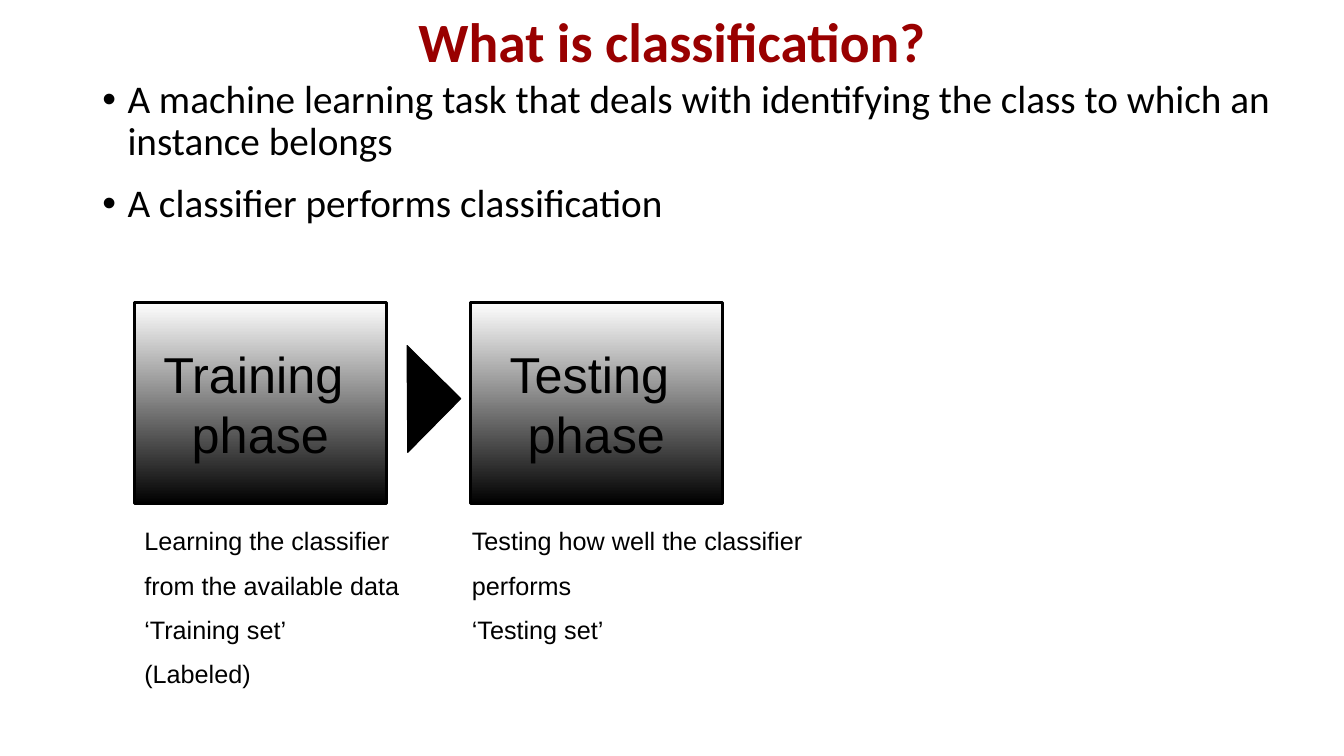
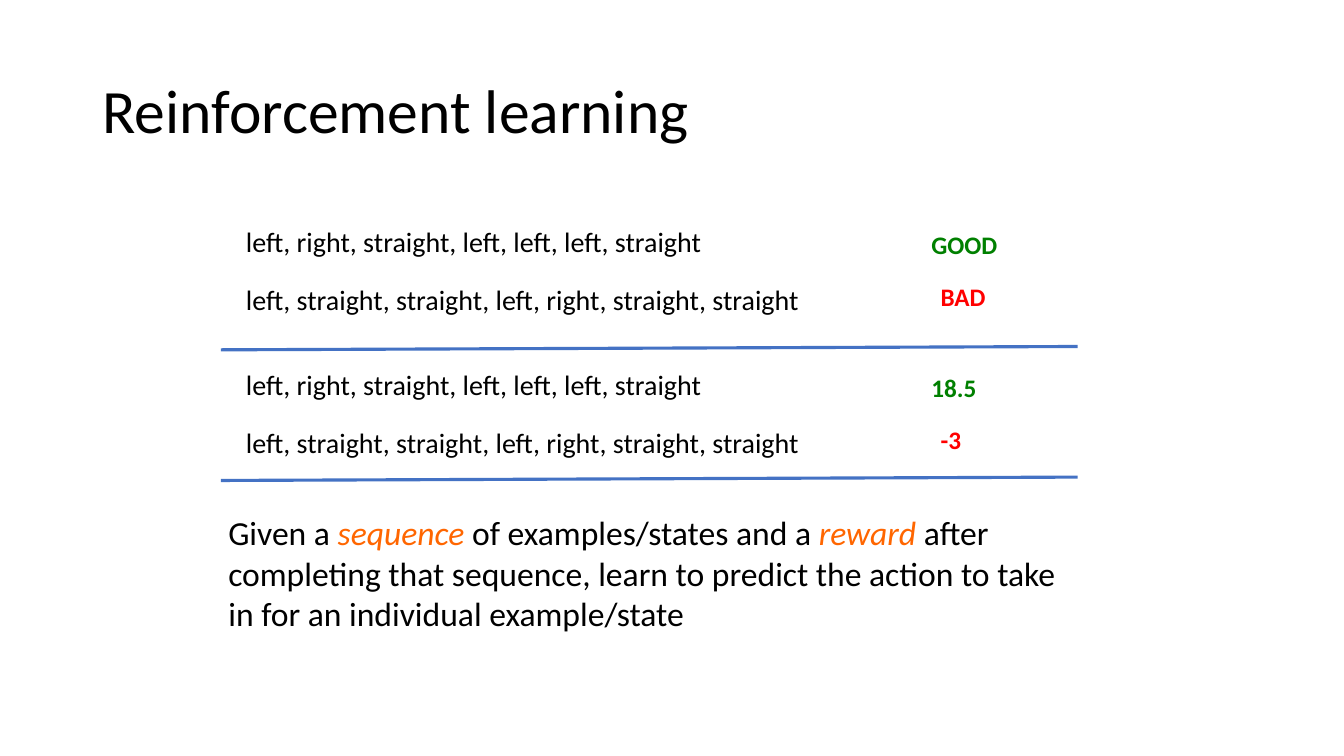
import lxml.etree
import pptx
import pptx.dml.color
import pptx.enum.shapes
import pptx.enum.text
import pptx.oxml.ns
import pptx.util

SHAPES = pptx.enum.shapes.MSO_SHAPE
ALIGN = pptx.enum.text.PP_ALIGN
ANCHOR = pptx.enum.text.MSO_ANCHOR

WIDTH, HEIGHT = pptx.util.Inches(13.333), pptx.util.Inches(7.5)
COLUMNS, ROWS = 160, 90  # square cells; all boxes are given in them

HEADING, BODY = "Calibri", "Arial"
BLACK, WHITE, MAROON = "000000", "FFFFFF", "990000"
GREEN, RED, ORANGE, BLUE = "008000", "FF0000", "FF6600", "4472C4"


def color(hex_text):
    return pptx.dml.color.RGBColor.from_string(hex_text)


def cells(left, top, width, height):
    """Turn grid columns and rows into slide lengths."""
    return (round(left * WIDTH / COLUMNS), round(top * HEIGHT / ROWS),
            round(width * WIDTH / COLUMNS), round(height * HEIGHT / ROWS))


def style(font, size, face, ink=BLACK, bold=False, italic=False):
    font.size, font.name = pptx.util.Pt(size), face
    font.bold, font.italic = bold, italic
    font.color.rgb = color(ink)


def write(frame, lines, size, face, ink=BLACK, bold=False, align=ALIGN.LEFT, gap=0):
    """Fill a text frame, with a gap in points between paragraphs."""
    frame.word_wrap = True
    frame.text = "\n".join(lines)
    for number, paragraph in enumerate(frame.paragraphs):
        paragraph.alignment = align
        if number and gap:
            paragraph.space_before = pptx.util.Pt(gap)
        for run in paragraph.runs:
            style(run.font, size, face, ink, bold)


def add_text(slide, box, lines, size, face, **options):
    frame = slide.shapes.add_textbox(*cells(*box)).text_frame
    write(frame, lines, size, face, **options)
    return frame


def add_titled_slide(deck, box, title, size, **options):
    slide = deck.slides.add_slide(deck.slide_layouts[5])
    heading = slide.shapes.title
    heading.left, heading.top, heading.width, heading.height = cells(*box)
    frame = heading.text_frame
    frame.vertical_anchor = ANCHOR.MIDDLE
    frame.auto_size = pptx.enum.text.MSO_AUTO_SIZE.NONE
    write(frame, [title], size, HEADING, **options)
    frame.paragraphs[0].line_spacing = 0.9
    return slide


def add_bullets(slide, box, points):
    frame = add_text(slide, box, points, 28, HEADING, gap=14)
    indent = pptx.util.Inches(0.25)
    for paragraph in frame.paragraphs:
        paragraph.line_spacing = 0.9
        properties = paragraph._p.get_or_add_pPr()
        properties.set("marL", str(indent))
        properties.set("indent", str(-indent))
        bullet_font = lxml.etree.SubElement(properties, pptx.oxml.ns.qn("a:buFont"))
        bullet_font.set("typeface", BODY)
        bullet = lxml.etree.SubElement(properties, pptx.oxml.ns.qn("a:buChar"))
        bullet.set("char", "•")


def add_solid(slide, kind, box, line_width):
    shape = slide.shapes.add_shape(kind, *cells(*box))
    shape.shadow.inherit = False
    shape.line.color.rgb = color(BLACK)
    shape.line.width = pptx.util.Pt(line_width)
    return shape


def add_phase(slide, box, lines):
    phase = add_solid(slide, SHAPES.RECTANGLE, box, 2.25)
    phase.fill.gradient()
    phase.fill.gradient_angle = 270
    for stop, position, ink in zip(phase.fill.gradient_stops, (0, 1), (WHITE, BLACK)):
        stop.position, stop.color.rgb = position, color(ink)
    phase.text_frame.vertical_anchor = ANCHOR.MIDDLE
    write(phase.text_frame, lines, 36, BODY, align=ALIGN.CENTER)


def add_phases(slide, left, top):
    """Two phase boxes joined by an arrow, with captions below."""
    width, height, pitch = 30, 24, 40
    add_phase(slide, (left, top, width, height), ["Training ", "phase"])
    arrow = add_solid(slide, SHAPES.RIGHT_TRIANGLE, (left + 28, top + 7, 9, 9), 0.75)
    arrow.fill.solid()
    arrow.fill.fore_color.rgb = color(BLACK)
    arrow.rotation = 224.6
    add_phase(slide, (left + pitch, top, width, height), ["Testing ", "phase"])

    captions = (
        (0, 38, ["Learning the classifier", "from the available data",
                 "‘Training set’", "(Labeled)"]),
        (pitch - 1, 54, ["Testing how well the classifier", "performs",
                         "‘Testing set’"]),
    )
    for offset, caption_width, lines in captions:
        add_text(slide, (left + offset, top + height + 2, caption_width, 21),
                 lines, 18, BODY, gap=10)


def add_sequences(slide, left, top, rewards):
    """A good and a bad sequence with their rewards."""
    rows = (
        ("left, right, straight, left, left, left, straight", GREEN, 0, 81.6, 0.55),
        ("left, straight, straight, left, right, straight, straight", RED, 6.85, 82.7, 6.75),
    )
    for (sequence, ink, drop, reward_left, reward_drop), reward in zip(rows, rewards):
        add_text(slide, (left, top + drop, 74, 5.3), [sequence], 20, HEADING)
        add_text(slide, (left + reward_left, top + reward_drop, 12, 4.8),
                 [reward], 18, HEADING, ink=ink, bold=True)


def add_rule(slide, left, top, width, rise):
    x, y, run, lift = cells(left, top, width, rise)
    rule = slide.shapes.add_connector(
        pptx.enum.shapes.MSO_CONNECTOR.STRAIGHT, x, y, x + run, y - lift)
    rule.line.color.rgb = color(BLUE)
    rule.line.width = pptx.util.Pt(2.25)
    lxml.etree.SubElement(rule._element.spPr, pptx.oxml.ns.qn("a:effectLst"))


def add_definition(slide, box, pieces):
    """One paragraph in which the marked pieces are key terms."""
    paragraph = add_text(slide, box, [], 24, HEADING).paragraphs[0]
    for text, is_term in pieces:
        run = paragraph.add_run()
        run.text = text
        style(run.font, 24, HEADING, ORANGE if is_term else BLACK, italic=is_term)


def build_classification(deck):
    slide = add_titled_slide(deck, (11, 1.8, 138, 7.1), "What is classification?",
                             39.6, ink=MAROON, bold=True, align=ALIGN.CENTER)
    add_bullets(slide, (11, 8.9, 143.3, 20), [
        "A machine learning task that deals with identifying the class "
        "to which an instance belongs",
        "A classifier performs classification",
    ])
    add_phases(slide, 16, 36)


def build_reinforcement(deck):
    slide = add_titled_slide(deck, (11, 4.8, 138, 17.4), "Reinforcement learning", 44)
    for top, rewards in ((26.15, ("GOOD", "BAD")), (43.2, ("18.5", "-3"))):
        add_sequences(slide, 28.1, top, rewards)
    for top in (41.65, 57.2):
        add_rule(slide, 26.3, top, 102, 0.4)
    add_definition(slide, (26, 60.4, 104, 15.7), [
        ("Given a ", False), ("sequence", True),
        (" of examples/states and a ", False), ("reward", True),
        (" after completing that sequence, learn to predict the action "
         "to take in for an individual example/state", False),
    ])


def main():
    deck = pptx.Presentation()
    deck.slide_width, deck.slide_height = WIDTH, HEIGHT
    build_classification(deck)
    build_reinforcement(deck)
    deck.save("out.pptx")


if __name__ == "__main__":
    main()
